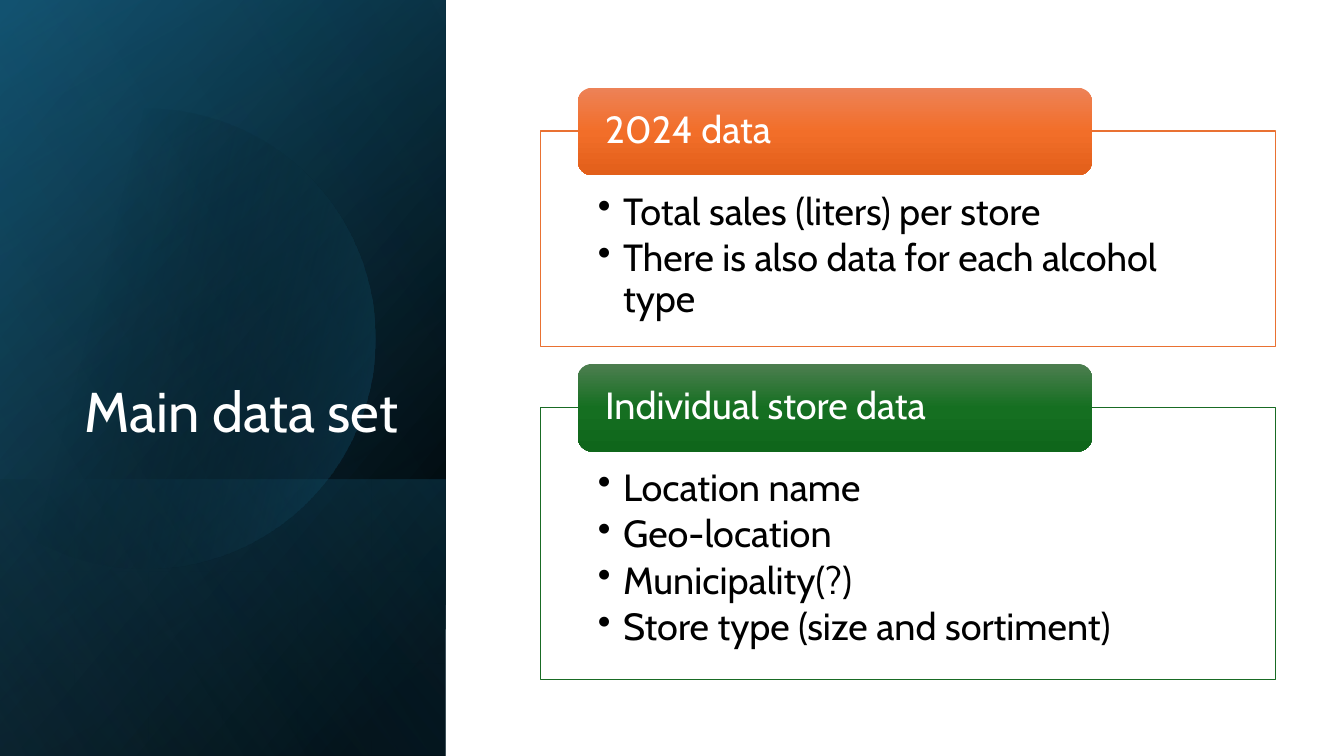
import math

import pptx
import pptx.dml.color
import pptx.enum.shapes
import pptx.enum.text
import pptx.oxml
import pptx.oxml.ns
import pptx.util

Inches = pptx.util.Inches
Pt = pptx.util.Pt
SHAPES = pptx.enum.shapes.MSO_SHAPE
ALIGN = pptx.enum.text.PP_ALIGN
ANCHOR = pptx.enum.text.MSO_ANCHOR
FONT = "Cabin"
PANEL_WIDTH, PAGE_HEIGHT = 4.42, 7.5

CARDS = [
    {"box": (5.36, 1.3, 7.29, 2.14), "colour": "E97132", "heading": "2024 data",
     "stops": [(0, "ED8257", 100), (50, "F26E29", 100), (100, "E25F1A", 100)],
     "items": ["Total sales (liters) per store",
               "There is also data for each alcohol type"]},
    {"box": (5.36, 4.04, 7.29, 2.7), "colour": "196B24", "heading": "Individual store data",
     "stops": [(0, "4D7E50", 100), (50, "156F21", 100), (100, "0F661B", 100)],
     "items": ["Location name", "Geo-location", "Municipality(?)",
               "Store type (size and sortiment)"]},
]


def rgb(colour):
    return pptx.dml.color.RGBColor.from_string(colour)


def set_all(target, values):
    for name, value in values.items():
        setattr(target, name, value)


def fill_gradient(shape, stops, angle):
    """Fill with (position %, colour, opacity %) stops; angle runs clockwise."""
    shape.shadow.inherit = False
    shape.line.fill.background()
    shape.fill.gradient()
    shape.fill.gradient_angle = 360 - angle
    stop_list = next(shape.element.iter(pptx.oxml.ns.qn("a:gsLst")))
    for stop in list(stop_list):
        stop_list.remove(stop)
    for position, colour, opacity in stops:
        stop_list.append(pptx.oxml.parse_xml(
            f'<a:gs {pptx.oxml.ns.nsdecls("a")} pos="{position * 1000}">'
            f'<a:srgbClr val="{colour}"><a:alpha val="{opacity * 1000}"/></a:srgbClr></a:gs>'))


def write(shape, lines, size, colour, frame_format, para_format, bullet=False):
    frame = shape.text_frame
    frame.word_wrap = True
    set_all(frame, frame_format)
    for index, line in enumerate(lines):
        para = frame.add_paragraph() if index else frame.paragraphs[0]
        set_all(para, {"line_spacing": 0.9, **para_format})
        span = para.add_run()
        span.text = line
        set_all(span.font, {"name": FONT, "size": Pt(size)})
        span.font.color.rgb = rgb(colour)
        if bullet:
            props = para._p.get_or_add_pPr()
            props.set("marL", str(Inches(0.25)))
            props.set("indent", str(-Inches(0.25)))
            props.append(pptx.oxml.parse_xml(
                f'<a:buChar {pptx.oxml.ns.nsdecls("a")} char="•"/>'))


def add_turned_layer(page, box, stops, angle):
    """Rectangle covering the box, mirrored and turned a quarter."""
    left, top, width, height = box
    shape = page.shapes.add_shape(
        SHAPES.RECTANGLE, Inches(left + (width - height) / 2),
        Inches(top + (height - width) / 2), Inches(height), Inches(width))
    shape.rotation = 90
    shape.element.spPr.xfrm.set("flipH", "1")
    fill_gradient(shape, stops, angle)


def add_disc(page, centre_x, centre_y, radius):
    """Disc cut off by the left edge of the page."""
    limit = math.acos(-centre_x / radius)
    angles = [limit * (step / 60 - 1) for step in range(121)]
    points = [(Inches(centre_x + radius * math.cos(angle)),
               Inches(centre_y + radius * math.sin(angle))) for angle in angles]
    builder = page.shapes.build_freeform(*points[0])
    builder.add_line_segments(points[1:], close=True)
    fill_gradient(builder.convert_to_shape(),
                  [(29, "000000", 0), (100, "156082", 43)], 14)


def add_title_panel(page, box):
    left, top, width, height = box
    lower = (left, top + 4.76, width, height - 4.76)
    # Shaded layers, back to front
    add_turned_layer(page, box, [(8, "000000", 100), (100, "104862", 100)], 50)
    add_turned_layer(page, box, [(0, "000000", 0), (99, "156082", 46)], 30)
    add_turned_layer(page, lower, [(2, "156082", 29), (100, "000000", 30)], 130)
    add_disc(page, left + 1.44, top + 3.36, 2.28)
    add_turned_layer(page, box, [(0, "000000", 0), (99, "46B1E1", 11)], 120)
    # Title
    title = page.shapes.add_textbox(Inches(left + 0.64), Inches(top + 1.84),
                                    Inches(3.41), Inches(2.62))
    write(title, ["Main data set"], 40, "FFFFFF",
          {"vertical_anchor": ANCHOR.BOTTOM}, {"alignment": ALIGN.RIGHT})


def add_card(page, box, colour, heading, stops, items):
    left, top, width, height = box
    # Outlined body with bullets
    body = page.shapes.add_shape(SHAPES.RECTANGLE, *map(Inches, box))
    body.shadow.inherit = False
    body.fill.solid()
    body.fill.fore_color.rgb = rgb("FFFFFF")
    body.line.color.rgb = rgb(colour)
    body.line.width = Pt(1)
    write(body, items, 27, "000000",
          {"vertical_anchor": ANCHOR.TOP, "margin_left": Inches(0.57),
           "margin_top": Inches(0.61), "margin_right": Inches(0.57),
           "margin_bottom": Inches(0.21)},
          {"alignment": ALIGN.LEFT, "space_after": Pt(4)}, bullet=True)
    # Heading tab across the top edge
    tab = page.shapes.add_shape(SHAPES.ROUNDED_RECTANGLE, Inches(left + 0.37),
                                Inches(top - 0.43), Inches(width * 0.7), Inches(0.87))
    fill_gradient(tab, stops, 90)
    write(tab, [heading], 27, "FFFFFF",
          {"vertical_anchor": ANCHOR.MIDDLE, "margin_left": Inches(0.23),
           "margin_top": 0, "margin_right": Inches(0.23), "margin_bottom": 0},
          {"alignment": ALIGN.LEFT})


def main():
    deck = pptx.Presentation()
    set_all(deck, {"slide_width": Inches(13.33), "slide_height": Inches(PAGE_HEIGHT)})
    page = deck.slides.add_slide(deck.slide_layouts[6])
    add_title_panel(page, (0, 0, PANEL_WIDTH, PAGE_HEIGHT))
    for card in CARDS:
        add_card(page, **card)
    deck.save("out.pptx")


if __name__ == "__main__":
    main()
